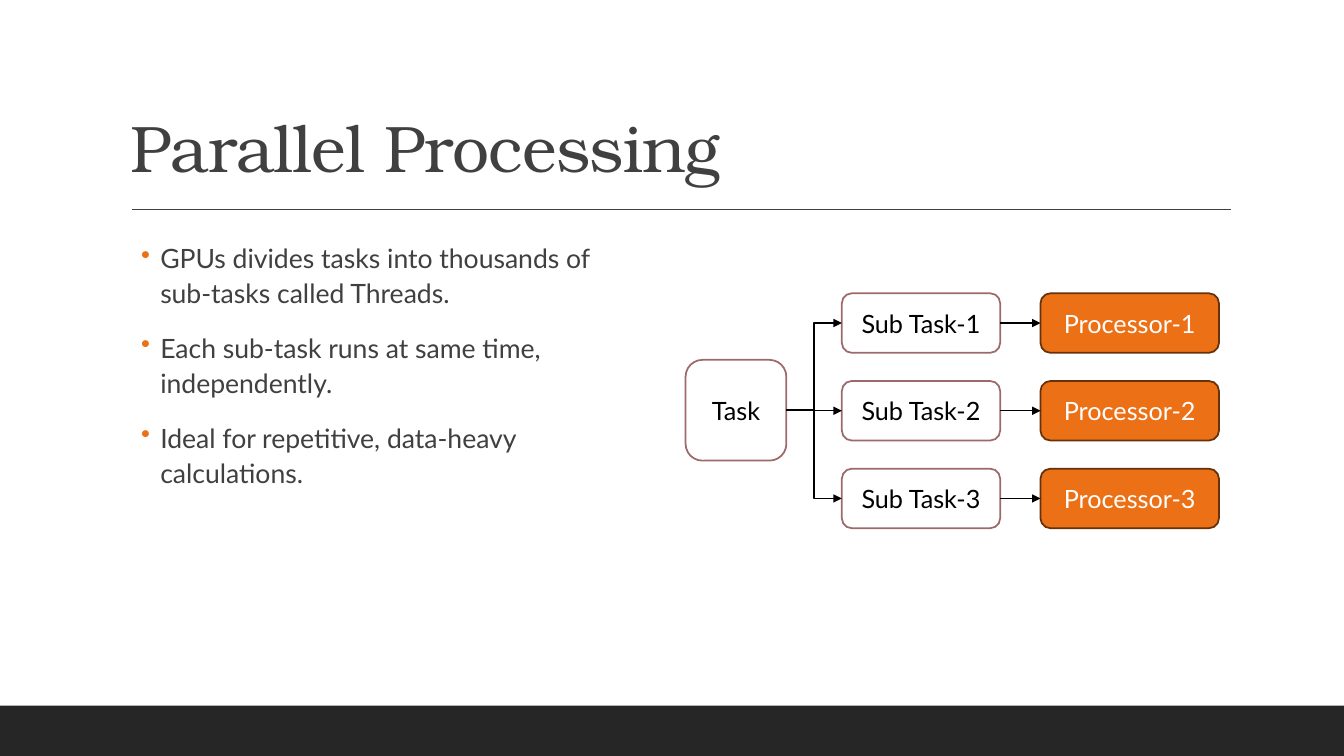
from lxml.etree import SubElement
from pptx import Presentation
from pptx.dml.color import RGBColor
from pptx.enum.shapes import MSO_CONNECTOR as Link, MSO_SHAPE as Shape
from pptx.enum.text import MSO_ANCHOR as Anchor, PP_ALIGN as Align
from pptx.oxml.ns import qn
from pptx.util import Inches, Pt

WIDTH, HEIGHT = Inches(13.33), Inches(7.5)
WHITE = RGBColor(0xFF, 0xFF, 0xFF)
BLACK = RGBColor(0x00, 0x00, 0x00)
CHARCOAL = RGBColor(0x26, 0x26, 0x26)
GREY = RGBColor(0x40, 0x40, 0x40)
ORANGE = RGBColor(0xEC, 0x70, 0x16)
BROWN = RGBColor(0x67, 0x31, 0x0A)
MAUVE = RGBColor(0x9C, 0x6A, 0x6A)
HEAD_FONT, BODY_FONT = "TeX Gyre Bonum", "Lato"
RIGHT_SIDE, LEFT_SIDE = 3, 1
ROW_TOP, ROW_STEP, ROW_HEIGHT = 38.8, 11.6, 7.87
POINTS = (
    "GPUs divides tasks into thousands of sub-tasks called Threads.",
    "Each sub-task runs at same time, independently.",
    "Ideal for repetitive, data-heavy calculations.",
)


def across(percent):
    """Return a percentage of the slide's width."""
    return round(WIDTH * percent / 100)


def down(percent):
    """Return a percentage of the slide's height."""
    return round(HEIGHT * percent / 100)


def frame(left, top, width, height):
    """Turn percentages of the slide into a position and size."""
    return across(left), down(top), across(width), down(height)


def add_span(para, text, size, font, color):
    """Add one styled run to a paragraph."""
    span = para.add_run()
    span.text = text
    span.font.size = Pt(size)
    span.font.name = font
    span.font.color.rgb = color
    return span


def add_band(page):
    """Draw the dark band along the foot of the slide."""
    band = page.shapes.add_shape(Shape.RECTANGLE, *frame(0, 93.33, 100, 6.67))
    band.shadow.inherit = False
    band.fill.solid()
    band.fill.fore_color.rgb = CHARCOAL
    band.line.fill.background()


def add_line(page, kind, color, start=(0, 0), end=(0, 0)):
    """Draw a thin connector without a shadow."""
    line = page.shapes.add_connector(
        kind, across(start[0]), down(start[1]), across(end[0]), down(end[1])
    )
    line.line.color.rgb = color
    line.line.width = Pt(1)
    SubElement(line._element.spPr, qn("a:effectLst"))
    return line


def add_arrow(page, kind, source, target):
    """Join the right side of one box to the left side of another."""
    arrow = add_line(page, kind, BLACK)
    arrow.begin_connect(source, RIGHT_SIDE)
    arrow.end_connect(target, LEFT_SIDE)
    SubElement(arrow.line._get_or_add_ln(), qn("a:tailEnd"), type="triangle")


def add_title(page, text):
    """Write the slide's heading above the rule."""
    box = page.shapes.add_textbox(*frame(9, 4.13, 82.52, 21.2)).text_frame
    box.word_wrap = True
    box.vertical_anchor = Anchor.BOTTOM
    para = box.paragraphs[0]
    para.line_spacing = 0.9
    span = add_span(para, text, 47, HEAD_FONT, GREY)
    span.font._element.set("spc", "-50")


def add_bullet(para):
    """Give a paragraph a hanging orange bullet."""
    props = para._p.get_or_add_pPr()
    props.set("marL", str(Inches(0.39)))
    props.set("indent", str(Inches(-0.19)))
    SubElement(SubElement(props, qn("a:buClr")), qn("a:srgbClr"), val=str(ORANGE))
    SubElement(props, qn("a:buChar"), char="•")


def add_points(page, points):
    """Write the bulleted list on the left."""
    box = page.shapes.add_textbox(*frame(9, 30.93, 38.03, 54.67)).text_frame
    box.word_wrap = True
    box.margin_left = box.margin_right = 0
    for index, text in enumerate(points):
        para = box.add_paragraph() if index else box.paragraphs[0]
        add_bullet(para)
        para.line_spacing = 1.1
        para.space_before = Pt(12 if index else 0)
        para.space_after = Pt(2)
        add_span(para, text, 19, BODY_FONT, GREY)


def add_node(page, text, place, fill, outline, color):
    """Draw a rounded box with a centred label."""
    node = page.shapes.add_shape(Shape.ROUNDED_RECTANGLE, *frame(*place))
    node.shadow.inherit = False
    node.fill.solid()
    node.fill.fore_color.rgb = fill
    node.line.color.rgb = outline
    node.line.width = Pt(1.25)
    box = node.text_frame
    box.word_wrap = True
    box.vertical_anchor = Anchor.MIDDLE
    box.paragraphs[0].alignment = Align.CENTER
    add_span(box.paragraphs[0], text, 18, BODY_FONT, color)
    return node


def add_diagram(page):
    """Draw the task split into three sub-tasks and processors."""
    task = add_node(page, "Task", (51.01, 47.6, 7.5, 13.33), WHITE, MAUVE, BLACK)
    for row in range(3):
        top = ROW_TOP + row * ROW_STEP
        sub_task = add_node(
            page, f"Sub Task-{row + 1}", (62.64, top, 11.78, ROW_HEIGHT),
            WHITE, MAUVE, BLACK,
        )
        processor = add_node(
            page, f"Processor-{row + 1}", (77.42, top, 13.28, ROW_HEIGHT),
            ORANGE, BROWN, WHITE,
        )
        add_arrow(page, Link.ELBOW, task, sub_task)
        add_arrow(page, Link.STRAIGHT, sub_task, processor)


def main():
    """Build the slide and save it."""
    deck = Presentation()
    deck.slide_width, deck.slide_height = WIDTH, HEIGHT
    page = deck.slides.add_slide(deck.slide_layouts[6])
    add_band(page)
    add_line(page, Link.STRAIGHT, GREY, (9.83, 27.73), (91.6, 27.73))
    add_title(page, "Parallel Processing")
    add_points(page, POINTS)
    add_diagram(page)
    deck.save("out.pptx")


if __name__ == "__main__":
    main()
